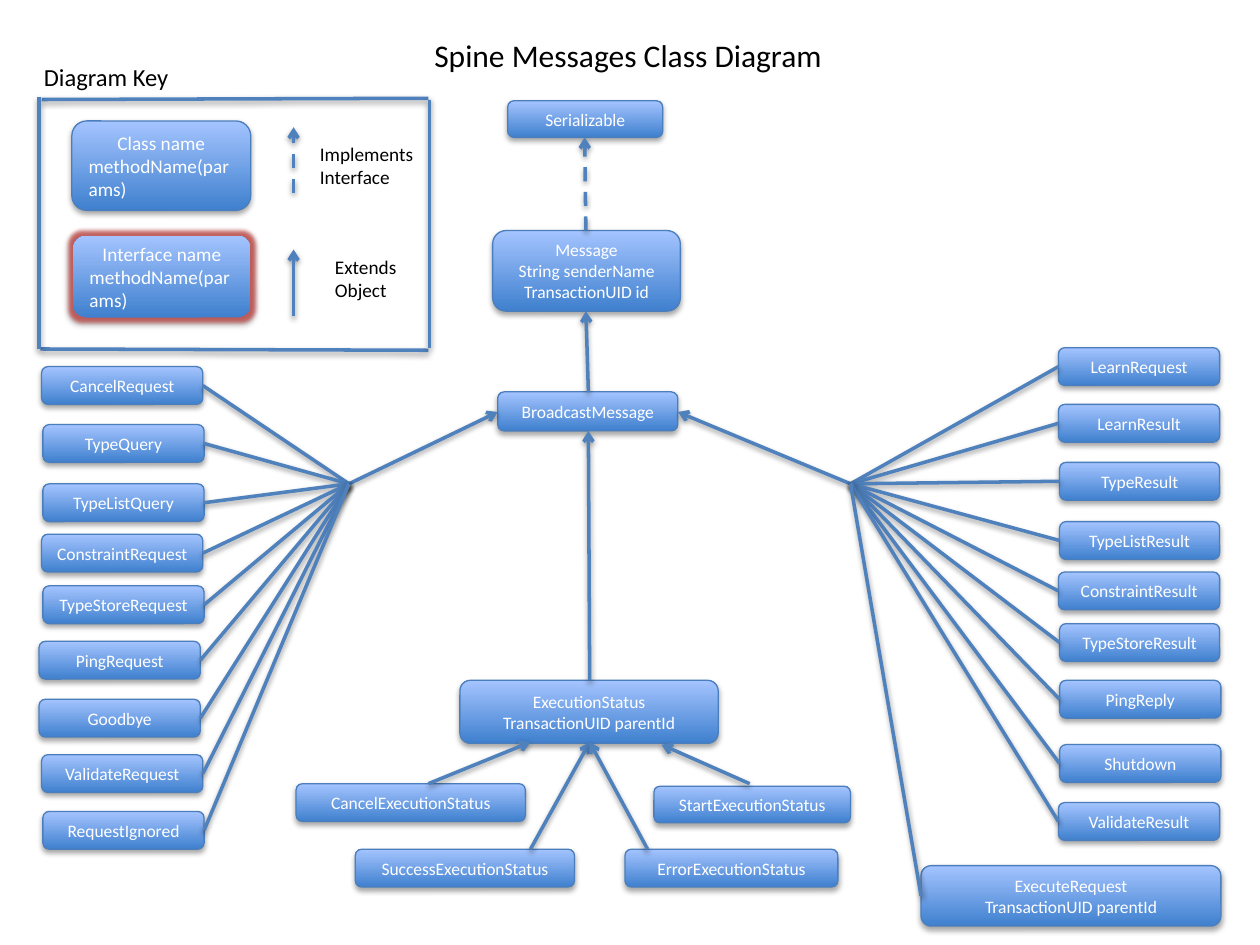
"""Build the Spine Messages class diagram slide."""
from typing import NamedTuple

from lxml import etree
from pptx import Presentation, util as u
from pptx.dml.color import RGBColor
from pptx.enum import dml, shapes, text
from pptx.oxml import ns

WHITE, BLACK = "FFFFFF", "000000"
GRADIENT = ("3F80CE", "A4C4FF")
BORDER, LINK, GLOW = "4B7EBC", "4F81BD", "C0504D"
CENTER, LEFT = text.PP_ALIGN.CENTER, text.PP_ALIGN.LEFT
CM_PER_INCH = 2.54


class Box(NamedTuple):
    lines: tuple
    left: float
    top: float
    width: float = 1.28
    height: float = 0.3
    size: int = 10
    aligns: tuple = (CENTER,)
    glow: bool = False

    @property
    def right(self):
        return self.left + self.width

    @property
    def middle(self):
        return self.top + self.height / 2


class Link(NamedTuple):
    start: tuple
    end: tuple
    arrow: bool = False
    dashed: bool = False


class Label(NamedTuple):
    lines: tuple
    left: float
    top: float
    width: float
    height: float
    size: int
    align: text.PP_ALIGN = LEFT


SIGNATURE = (CENTER, LEFT)
HIERARCHY = [
    Box(("Serializable",), 4.03, 0.8, 1.23, 0.29),
    Box(("Message", "String senderName", "TransactionUID id"), 3.91, 1.83, 1.49, 0.64),
    Box(("BroadcastMessage",), 3.95, 3.11, 1.43, 0.31),
    Box(("ExecutionStatus", "TransactionUID parentId"), 3.65, 5.4, 2.05, 0.5),
    Box(("SuccessExecutionStatus",), 2.82, 6.74, 1.74),
    Box(("CancelExecutionStatus",), 2.35, 6.22, 1.82),
    Box(("StartExecutionStatus",), 5.19, 6.24, 1.56, 0.29),
    Box(("ErrorExecutionStatus",), 4.96, 6.74, 1.69),
]
KEY_BOXES = [
    Box(("Class name", "methodName(params)"), 0.57, 0.96, 1.42, 0.71, 11, SIGNATURE),
    Box(("Interface name", "methodName(params)"), 0.58, 1.87, 1.41, 0.65, 11, SIGNATURE, True),
]
REQUESTS = [
    Box(("CancelRequest",), 0.33, 2.91),
    Box(("TypeQuery",), 0.34, 3.37),
    Box(("TypeListQuery",), 0.34, 3.84),
    Box(("ConstraintRequest",), 0.33, 4.24),
    Box(("TypeStoreRequest",), 0.34, 4.65),
    Box(("PingRequest",), 0.31, 5.09),
    Box(("Goodbye",), 0.31, 5.55),
    Box(("ValidateRequest",), 0.33, 5.99),
    Box(("RequestIgnored",), 0.34, 6.44),
]
RESULTS = [
    Box(("LearnRequest",), 8.4, 2.76),
    Box(("LearnResult",), 8.4, 3.21),
    Box(("TypeResult",), 8.41, 3.67, 1.27),
    Box(("TypeListResult",), 8.41, 4.14, 1.27),
    Box(("ConstraintResult",), 8.4, 4.54),
    Box(("TypeStoreResult",), 8.41, 4.95, 1.27),
    Box(("PingReply",), 8.41, 5.4),
    Box(("Shutdown",), 8.41, 5.91),
    Box(("ValidateResult",), 8.4, 6.37),
    Box(("ExecuteRequest", "TransactionUID parentId"), 7.31, 6.87, 2.38, 0.48),
]
REQUEST_HUB, RESULT_HUB = (2.77, 3.84), (6.75, 3.84)
LINKS = [
    Link((4.65, 1.83), (4.64, 1.09), True, True),
    Link((4.68, 5.4), (4.67, 3.42), True),
    Link((4.67, 3.11), (4.65, 2.47), True),
    Link((2.33, 1.53), (2.33, 1.01), True, True),
    Link((2.33, 2.51), (2.33, 1.98), True),
    Link((0.33, 0.79), (3.4, 0.78)),
    Link((0.32, 2.77), (3.4, 2.78)),
    Link((0.31, 0.77), (0.31, 2.77)),
    Link((3.41, 0.79), (3.41, 2.76)),
    Link((3.4, 6.22), (4.21, 5.89), True),
    Link((4.21, 6.74), (4.68, 5.89), True),
    Link((5.14, 6.74), (4.68, 5.89), True),
    Link((5.95, 6.22), (5.25, 5.91), True),
    Link(REQUEST_HUB, (3.95, 3.27), True),
    Link(RESULT_HUB, (5.38, 3.27), True),
]
LABELS = [
    Label(("Spine Messages Class Diagram",), 2.77, 0.24, 4.43, 0.4, 18, CENTER),
    Label(("Diagram Key",), 0.25, 0.44, 1.43, 0.34, 14),
    Label(("Implements", "Interface"), 2.44, 1.08, 0.96, 0.47, 11),
    Label(("Extends Object",), 2.56, 1.98, 0.7, 0.47, 11),
]


def cm(inches: float) -> u.Length:
    return u.Cm(inches * CM_PER_INCH)


def rgb(value: str) -> RGBColor:
    return RGBColor.from_string(value)


def add_node(parent, tag: str, **attributes):
    return etree.SubElement(parent, ns.qn(tag), attributes)


def add_effect(effects, tag: str, color: str, alpha: int, **attributes) -> None:
    effect = add_node(effects, tag, **attributes)
    tint = add_node(effect, "a:srgbClr", val=color)
    add_node(tint, "a:alpha", val=str(alpha * 1000))


def add_shadow(effects, alpha: int, distance: int) -> None:
    add_effect(effects, "a:outerShdw", BLACK, alpha, blurRad="40000",
               dist=str(distance), dir="5400000", rotWithShape="0")


def write(frame, lines: tuple, *, size: int, color: str, aligns: tuple, anchor) -> None:
    frame.word_wrap = True
    frame.vertical_anchor = anchor
    for index, line in enumerate(lines):
        paragraph = frame.paragraphs[0] if index == 0 else frame.add_paragraph()
        paragraph.alignment = aligns[min(index, len(aligns) - 1)]
        run = paragraph.add_run()
        run.text = line
        run.font.name, run.font.size = "Calibri", u.Pt(size)
        run.font.color.rgb = rgb(color)


def draw_box(slide, box: Box) -> None:
    shape = slide.shapes.add_shape(
        shapes.MSO_SHAPE.ROUNDED_RECTANGLE, *map(cm, box[1:5]))
    shape.fill.gradient()
    shape.fill.gradient_angle = 90
    for stop, color in zip(shape.fill.gradient_stops, GRADIENT):
        stop.color.rgb = rgb(color)
    if box.glow:
        shape.line.fill.background()
    else:
        shape.line.color.rgb = rgb(BORDER)
        shape.line.width = u.Pt(0.75)
    shape.shadow.inherit = False
    effects = shape._element.spPr.find(ns.qn("a:effectLst"))
    if box.glow:
        add_effect(effects, "a:glow", GLOW, 85, rad="63500")
    add_shadow(effects, 35, 23000)
    write(shape.text_frame, box.lines, size=box.size, color=WHITE,
          aligns=box.aligns, anchor=text.MSO_ANCHOR.MIDDLE)


def draw_link(slide, link: Link) -> None:
    connector = slide.shapes.add_connector(
        shapes.MSO_CONNECTOR.STRAIGHT, *map(cm, link.start + link.end))
    connector.line.color.rgb = rgb(LINK)
    connector.line.width = u.Pt(2)
    if link.dashed:
        connector.line.dash_style = dml.MSO_LINE.DASH
    properties = connector._element.spPr
    if link.arrow:
        add_node(properties.find(ns.qn("a:ln")), "a:tailEnd", type="arrow")
    add_shadow(add_node(properties, "a:effectLst"), 38, 20000)


def draw_label(slide, label: Label) -> None:
    textbox = slide.shapes.add_textbox(*map(cm, label[1:5]))
    write(textbox.text_frame, label.lines, size=label.size, color=BLACK,
          aligns=(label.align,), anchor=text.MSO_ANCHOR.TOP)
    textbox.text_frame.auto_size = text.MSO_AUTO_SIZE.SHAPE_TO_FIT_TEXT


def main() -> None:
    deck = Presentation()
    deck.slide_width, deck.slide_height = cm(10), cm(7.5)
    slide = deck.slides.add_slide(deck.slide_layouts[6])
    for box in HIERARCHY + KEY_BOXES + REQUESTS + RESULTS:
        draw_box(slide, box)
    request_spokes = [Link((box.right, box.middle), REQUEST_HUB) for box in REQUESTS]
    result_spokes = [Link(RESULT_HUB, (box.left, box.middle)) for box in RESULTS]
    for link in LINKS + request_spokes + result_spokes:
        draw_link(slide, link)
    for label in LABELS:
        draw_label(slide, label)
    deck.save("out.pptx")


if __name__ == "__main__":
    main()
